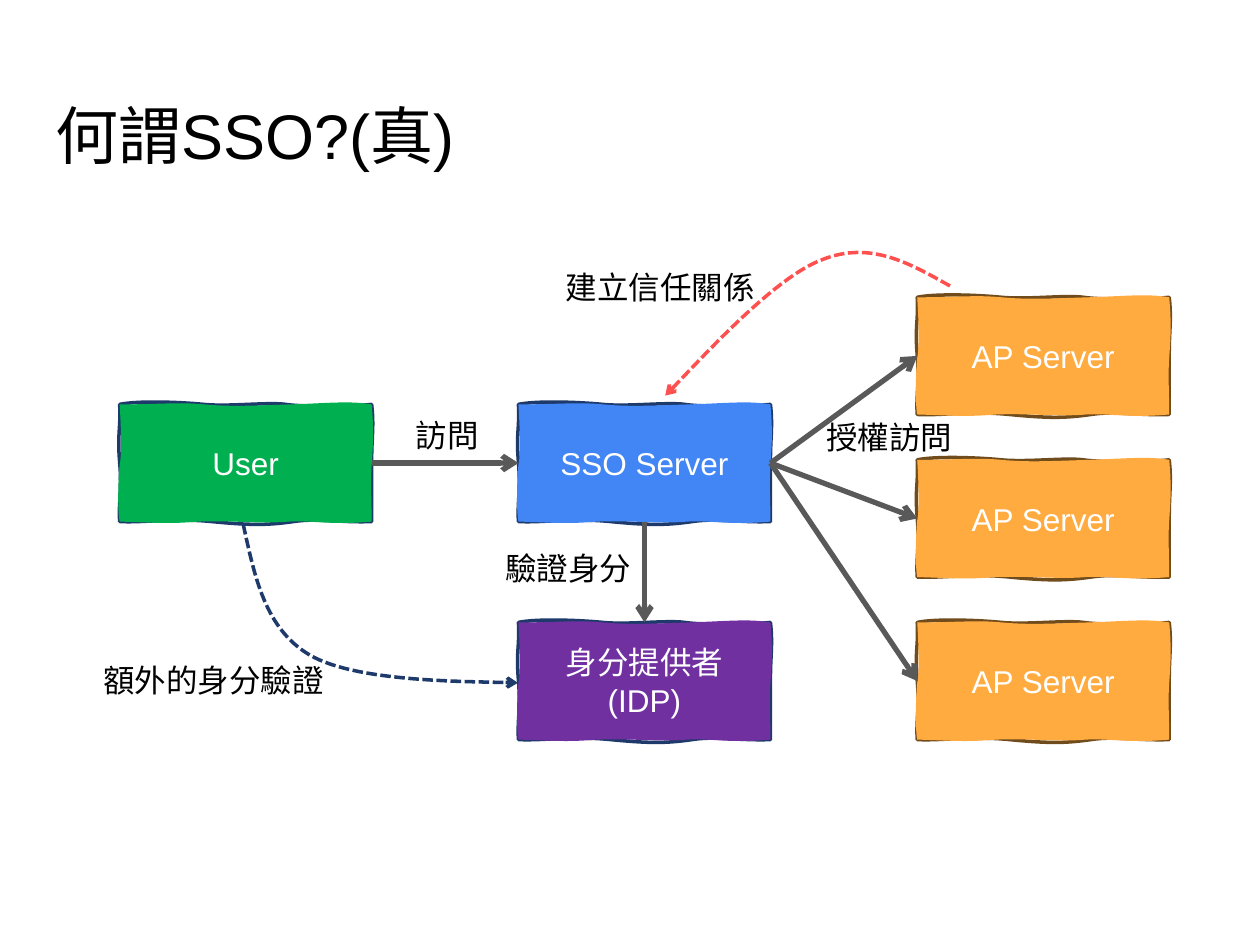
from dataclasses import dataclass

from lxml.etree import SubElement
from pptx import Presentation
from pptx.dml.color import RGBColor
from pptx.enum.dml import MSO_LINE
from pptx.enum.shapes import MSO_CONNECTOR
from pptx.enum.text import MSO_ANCHOR, MSO_AUTO_SIZE, PP_ALIGN
from pptx.oxml.ns import qn
from pptx.util import Inches, Pt

COLORS = {
    "black": "000000", "white": "FFFFFF", "green": "00B050", "blue": "4285F4",
    "orange": "FFAB40", "purple": "7030A0", "navy": "1D3A6B", "brown": "704B1C",
    "gray": "595959", "red": "FF5050",
}
BOX_WIDTH, BOX_HEIGHT = 2, 0.93
USER_LEFT, SSO_LEFT, AP_LEFT = (0.95 + 3.165 * column for column in range(3))
AP_TOPS = [2.36 + 1.29 * row for row in range(3)]
SSO_TOP = 3.21
UNITS = 100

SKETCH_OUTLINE = [
    (14, -3, 47, -2, 67, 0), (87, 2, 118, -2, 132, 0), (145, 2, 181, 2, 200, 0),
    (202, 17, 200, 26, 200, 45), (200, 64, 200, 74, 200, 93),
    (175, 94, 158, 90, 138, 93), (117, 96, 104, 96, 73, 93), (42, 90, 20, 94, 0, 93),
    (-1, 77, 2, 69, 0, 46), (-2, 22, 1, 20, 0, 0),
]
SKETCH_INTERIOR = [
    (33, 0, 46, -2, 67, 0), (88, 2, 105, 1, 136, 0), (166, -1, 183, -3, 200, 0),
    (202, 22, 201, 33, 200, 48), (199, 62, 200, 76, 200, 93),
    (168, 96, 153, 92, 134, 93), (114, 95, 88, 92, 63, 93), (38, 95, 31, 94, 0, 93),
    (-2, 82, -1, 58, 0, 48), (2, 39, 1, 16, 0, 0),
]


@dataclass(frozen=True)
class CurvePath:
    start: tuple
    curves: list
    attributes: dict
    closed: bool = False


@dataclass(frozen=True)
class Box:
    text: str
    left: float
    top: float
    fill: str
    line: str = "navy"

    @property
    def west(self) -> tuple:
        return self.left, self.top + BOX_HEIGHT / 2

    @property
    def east(self) -> tuple:
        return self.left + BOX_WIDTH, self.top + BOX_HEIGHT / 2

    @property
    def north(self) -> tuple:
        return self.left + BOX_WIDTH / 2, self.top

    @property
    def south(self) -> tuple:
        return self.left + BOX_WIDTH / 2, self.top + BOX_HEIGHT


@dataclass(frozen=True)
class DashedCurve:
    frame: tuple
    start: tuple
    curves: list
    color: str


@dataclass(frozen=True)
class Label:
    text: str
    left: float
    top: float
    width: float


def color(name: str) -> RGBColor:
    return RGBColor.from_string(COLORS[name])


def set_attributes(target, values: dict) -> None:
    for name, value in values.items():
        setattr(target, name, value)


def write_text(shape, text: str, size: int, color_name: str, alignment, frame_format: dict) -> None:
    set_attributes(shape.text_frame, frame_format)
    paragraph = shape.text_frame.paragraphs[0]
    paragraph.alignment = alignment
    run = paragraph.add_run()
    run.text = text
    set_attributes(run.font, {"name": "Arial", "size": Pt(size)})
    run.font.color.rgb = color(color_name)


def style_line(shape, color_name: str, width: float) -> None:
    shape.line.color.rgb = color(color_name)
    shape.line.width = Pt(width)


def add_arrowhead(shape) -> None:
    SubElement(shape.element.spPr.find(qn("a:ln")), qn("a:tailEnd"), type="arrow")


def add_curved_shape(slide, frame: tuple, paths: list):
    left, top, width, height = frame
    right, bottom = round(width * UNITS), round(height * UNITS)
    builder = slide.shapes.build_freeform(0, 0, scale=Inches(1) / UNITS)
    builder.add_line_segments([(right, 0), (right, bottom), (0, bottom)])
    shape = builder.convert_to_shape(Inches(left), Inches(top))
    path_list = shape.element.spPr.find(".//" + qn("a:pathLst"))
    path_list.clear()
    for path in paths:
        node = SubElement(path_list, qn("a:path"), w=str(right), h=str(bottom), **path.attributes)
        for tag, numbers in [("a:moveTo", path.start), *(("a:cubicBezTo", c) for c in path.curves)]:
            command = SubElement(node, qn(tag))
            for x, y in zip(numbers[::2], numbers[1::2]):
                SubElement(command, qn("a:pt"), x=str(x), y=str(y))
        if path.closed:
            SubElement(node, qn("a:close"))
    shape.shadow.inherit = False
    return shape


def draw_box(slide, box: Box) -> None:
    paths = [
        CurvePath((0, 0), SKETCH_OUTLINE, {"fill": "none"}, True),
        CurvePath((0, 0), SKETCH_INTERIOR, {"stroke": "0"}, True),
    ]
    shape = add_curved_shape(slide, (box.left, box.top, BOX_WIDTH, BOX_HEIGHT), paths)
    shape.fill.solid()
    shape.fill.fore_color.rgb = color(box.fill)
    style_line(shape, box.line, 2)
    write_text(shape, box.text, 18, "white", PP_ALIGN.CENTER,
               {"word_wrap": True, "vertical_anchor": MSO_ANCHOR.MIDDLE})


def draw_arrow(slide, begin: tuple, end: tuple) -> None:
    connector = slide.shapes.add_connector(
        MSO_CONNECTOR.STRAIGHT, *(Inches(value) for value in begin + end))
    style_line(connector, "gray", 3)
    add_arrowhead(connector)
    SubElement(connector.element.spPr, qn("a:effectLst"))


def draw_dashed_curve(slide, curve: DashedCurve) -> None:
    path = CurvePath(curve.start, curve.curves, {"fill": "none"})
    shape = add_curved_shape(slide, curve.frame, [path])
    shape.fill.background()
    style_line(shape, curve.color, 2)
    shape.line.dash_style = MSO_LINE.SQUARE_DOT
    add_arrowhead(shape)


def draw_label(slide, label: Label) -> None:
    shape = slide.shapes.add_textbox(
        *(Inches(value) for value in (label.left, label.top, label.width, 0.4)))
    write_text(shape, label.text, 18, "black", PP_ALIGN.LEFT,
               {"word_wrap": False, "auto_size": MSO_AUTO_SIZE.SHAPE_TO_FIT_TEXT})


def main() -> None:
    presentation = Presentation()
    set_attributes(presentation, {"slide_width": Inches(10), "slide_height": Inches(7.5)})
    slide = presentation.slides.add_slide(presentation.slide_layouts[5])

    title = slide.shapes.title
    set_attributes(title, {"left": Inches(0.34), "top": Inches(0.65),
                           "width": Inches(9.32), "height": Inches(0.83)})
    margins = {f"margin_{side}": Inches(0.1) for side in ("left", "top", "right", "bottom")}
    write_text(title, "何謂SSO?(真)", 36, "black", PP_ALIGN.LEFT,
               {**margins, "vertical_anchor": MSO_ANCHOR.MIDDLE})

    user = Box("User", USER_LEFT, SSO_TOP, "green")
    sso = Box("SSO Server", SSO_LEFT, SSO_TOP, "blue")
    ap_servers = [Box("AP Server", AP_LEFT, top, "orange", "brown") for top in AP_TOPS]
    idp = Box("身分提供者(IDP)", SSO_LEFT, AP_TOPS[-1], "purple")
    for box in (user, sso, *ap_servers, idp):
        draw_box(slide, box)

    draw_arrow(slide, user.east, sso.west)
    for server in ap_servers:
        draw_arrow(slide, sso.east, server.west)
    draw_arrow(slide, sso.south, idp.north)

    for curve in (
        DashedCurve((1.93, 4.16, 2.18, 1.26), (0, 0),
                    [(9, 41, 17, 83, 53, 104), (89, 125, 189, 125, 218, 126)], "navy"),
        DashedCurve((5.28, 2.01, 2.26, 1.13), (226, 26),
                    [(194, 8, 163, -10, 125, 5), (87, 19, 21, 92, 0, 113)], "red"),
    ):
        draw_dashed_curve(slide, curve)

    for label in (
        Label("訪問", 3.2, 3.25, 0.71),
        Label("驗證身分", 3.91, 4.31, 1.21),
        Label("授權訪問", 6.46, 3.27, 1.21),
        Label("額外的身分驗證", 0.72, 5.2, 1.97),
        Label("建立信任關係", 4.39, 2.08, 1.72),
    ):
        draw_label(slide, label)

    presentation.save("out.pptx")


if __name__ == "__main__":
    main()
